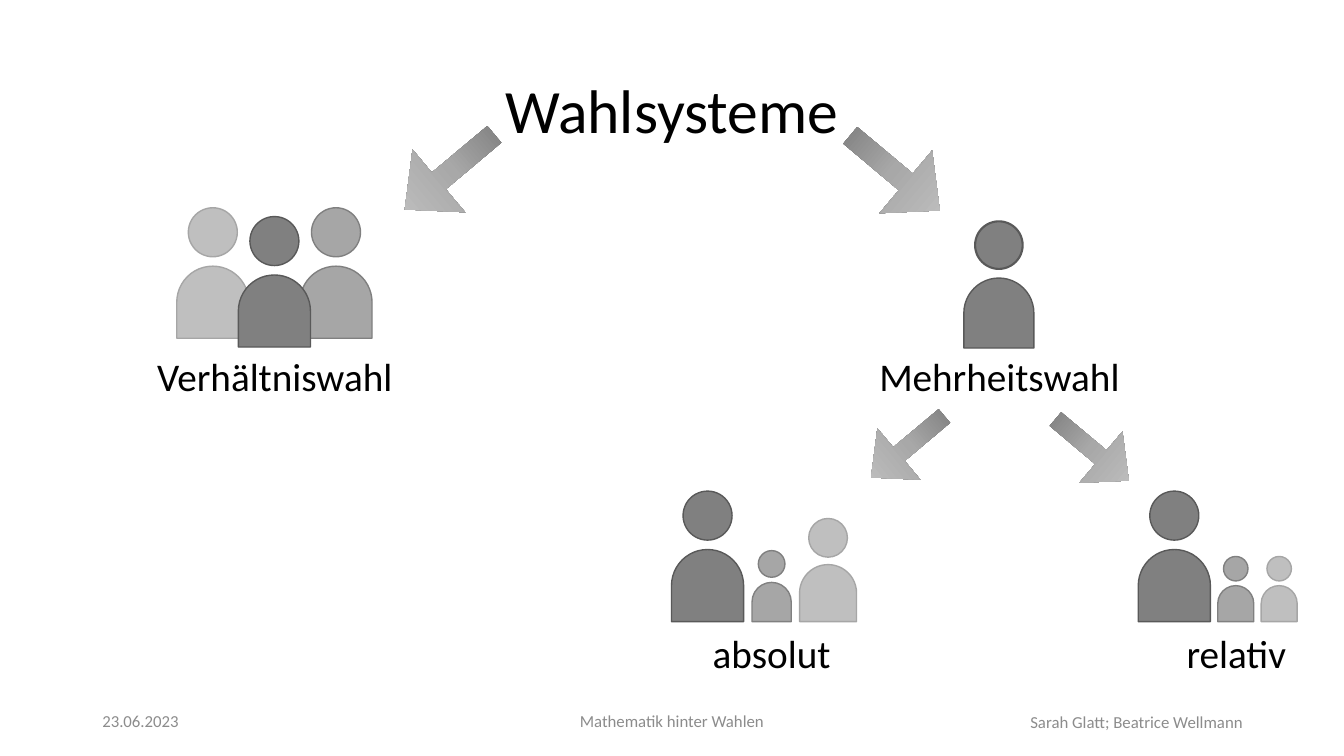
from copy import deepcopy

from pptx import Presentation
from pptx.dml.color import RGBColor
from pptx.enum.shapes import MSO_SHAPE
from pptx.enum.text import MSO_ANCHOR, MSO_AUTO_SIZE, PP_ALIGN
from pptx.oxml.ns import qn
from pptx.util import Pt

BODY, HEAD, ARROW = MSO_SHAPE.FLOWCHART_DELAY, MSO_SHAPE.OVAL, MSO_SHAPE.RIGHT_ARROW
LEFT, CENTER, RIGHT = PP_ALIGN.LEFT, PP_ALIGN.CENTER, PP_ALIGN.RIGHT
TOP, MIDDLE = MSO_ANCHOR.TOP, MSO_ANCHOR.MIDDLE
GROW, FIXED = MSO_AUTO_SIZE.SHAPE_TO_FIT_TEXT, MSO_AUTO_SIZE.NONE

# Each tone is a fill and its outline
LIGHT, MEDIUM, DARK = ("BFBFBF", "A6A6A6"), ("A6A6A6", "808080"), ("808080", "595959")
ARROW_STOPS = [(0, "6F6F6F"), (0.48, "A8A8A8"), (1, "C9C9C9")]
HEAD_RATIO, HEIGHT_RATIO = 0.68, 1.81  # relative to the body width
FULL = 51.5  # body width of a full-size person

TITLE = dict(size=Pt(44), color="000000", anchor=MIDDLE, fit=FIXED, spacing=0.9)
LABEL = dict(size=Pt(28), color="000000", anchor=TOP, fit=GROW, spacing=1.0)
FOOTER = dict(size=Pt(12), color="8C8C8C", anchor=MIDDLE, fit=FIXED, spacing=1.0)


def rgb(value):
    return RGBColor.from_string(value)


def set_all(target, values):
    for name, value in values.items():
        setattr(target, name, value)


class Slide:
    def __init__(self, prs, font):
        self.s = prs.slides.add_slide(prs.slide_layouts[6])
        self.font = font

    def text(self, text, box, style, align=CENTER):
        tf = self.s.shapes.add_textbox(*map(Pt, box)).text_frame
        set_all(tf, dict(word_wrap=True, auto_size=style["fit"],
                         vertical_anchor=style["anchor"]))
        p = tf.paragraphs[0]
        set_all(p, dict(alignment=align, line_spacing=style["spacing"]))
        r = p.add_run()
        r.text = text
        set_all(r.font, dict(name=self.font, size=style["size"]))
        r.font.color.rgb = rgb(style["color"])

    def figure(self, shapes, kind, cx, top, size, tone, line_width):
        """Draw a head or a body in a square centred on cx."""
        sp = shapes.add_shape(kind, Pt(cx - size / 2), Pt(top), Pt(size), Pt(size))
        sp.shadow.inherit = False
        sp.fill.solid()
        sp.fill.fore_color.rgb = rgb(tone[0])
        sp.line.color.rgb = rgb(tone[1])
        sp.line.width = Pt(line_width)
        return sp

    def people(self, members, head_line=1):
        """Group persons given as (centre, bottom, body width, tone)."""
        shapes = self.s.shapes.add_group_shape().shapes
        for cx, bottom, size, tone in members:
            body = self.figure(shapes, BODY, cx, bottom - size, size, tone, 1)
            body.rotation = 270
            self.figure(shapes, HEAD, cx, bottom - HEIGHT_RATIO * size,
                        HEAD_RATIO * size, tone, head_line)

    def arrow(self, left, top, width, to_left):
        sp = self.s.shapes.add_shape(ARROW, Pt(left), Pt(top), Pt(width), Pt(0.7 * width))
        sp.shadow.inherit = False
        sp.line.fill.background()
        sp.adjustments[0], sp.adjustments[1] = 0.265, 0.543
        sp.rotation = 320 if to_left else 40
        if to_left:
            sp._element.spPr.find(qn("a:xfrm")).set("flipH", "1")
        sp.fill.gradient()
        sp.fill.gradient_angle = 0
        stops = sp._element.spPr.find(qn("a:gradFill")).find(qn("a:gsLst"))
        stops.append(deepcopy(stops[-1]))
        for stop, (position, color) in zip(sp.fill.gradient_stops, ARROW_STOPS):
            stop.position = position
            stop.color.rgb = rgb(color)


def main():
    prs = Presentation()
    set_all(prs, dict(slide_width=Pt(960), slide_height=Pt(540)))
    slide = Slide(prs, "Calibri")

    slide.text("Wahlsysteme", (66, 28.8, 828, 104.4), TITLE)

    slide.people([(152, 241.6, FULL, LIGHT), (240, 241.6, FULL, MEDIUM),
                  (196, 247.9, FULL, DARK)])
    slide.people([(713.5, 248.6, 50, DARK)], head_line=1.5)
    slide.people([(591.5, 444, 40.7, LIGHT), (551.2, 444, 28, MEDIUM),
                  (505.4, 444, FULL, DARK)])
    slide.people([(913.7, 444, 25.7, LIGHT), (882.7, 444, 25.7, MEDIUM),
                  (838.8, 444, FULL, DARK)])

    for left, top, width, to_left in [(279.4, 93.6, 83.5, True), (597.6, 94.3, 83.5, False),
                                      (614.2, 295.2, 68.4, True), (745.9, 297.4, 68.4, False)]:
        slide.arrow(left, top, width, to_left)

    for text, left, top in [("Verhältniswahl", 99.4, 248.4), ("Mehrheitswahl", 617, 248.4),
                            ("absolut", 454.3, 445.7), ("relativ", 786.2, 445.7)]:
        slide.text(text, (left, top, 193.7, 41), LABEL)

    for text, left, top, width, align in [
            ("23.06.2023", 66, 500.4, 216, LEFT),
            ("Mathematik hinter Wahlen", 318, 500.4, 324, CENTER),
            ("Sarah Glatt; Beatrice Wellmann", 679, 501.1, 216, RIGHT)]:
        slide.text(text, (left, top, width, 28.8), FOOTER, align)

    prs.save("out.pptx")


if __name__ == "__main__":
    main()
